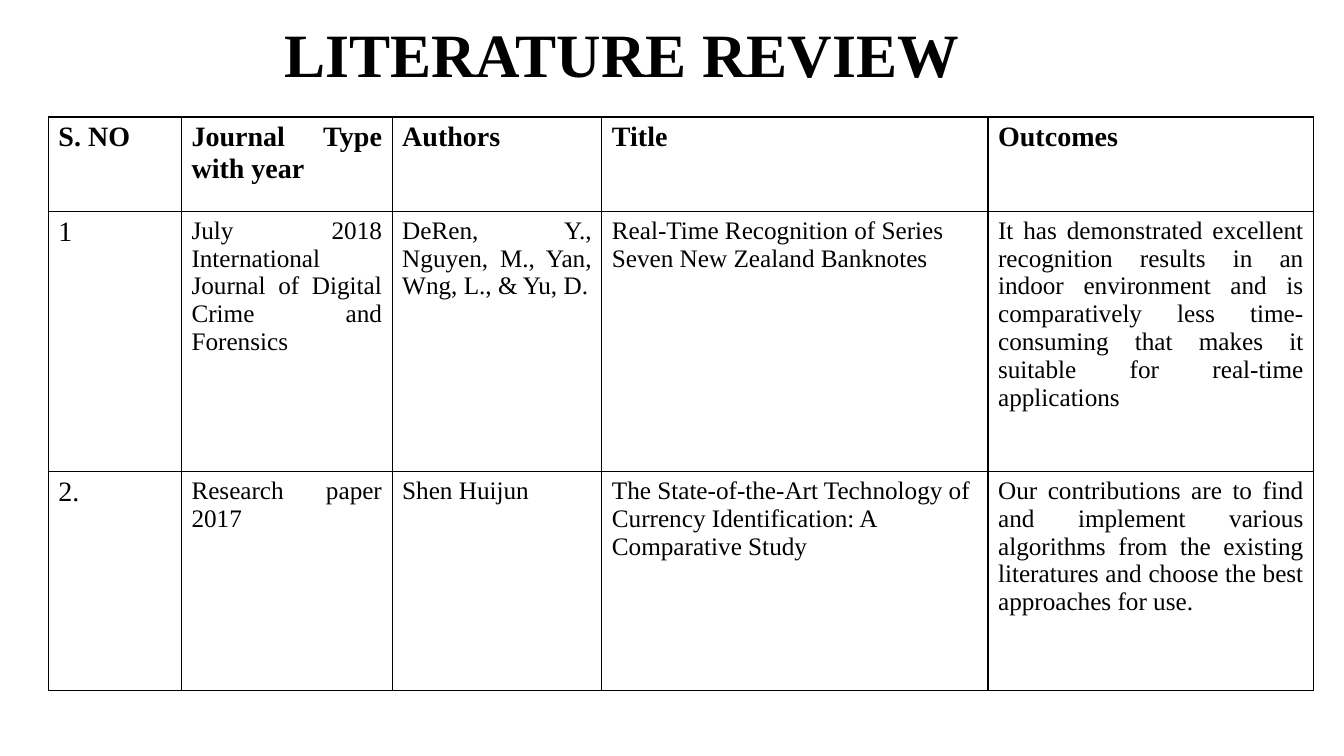
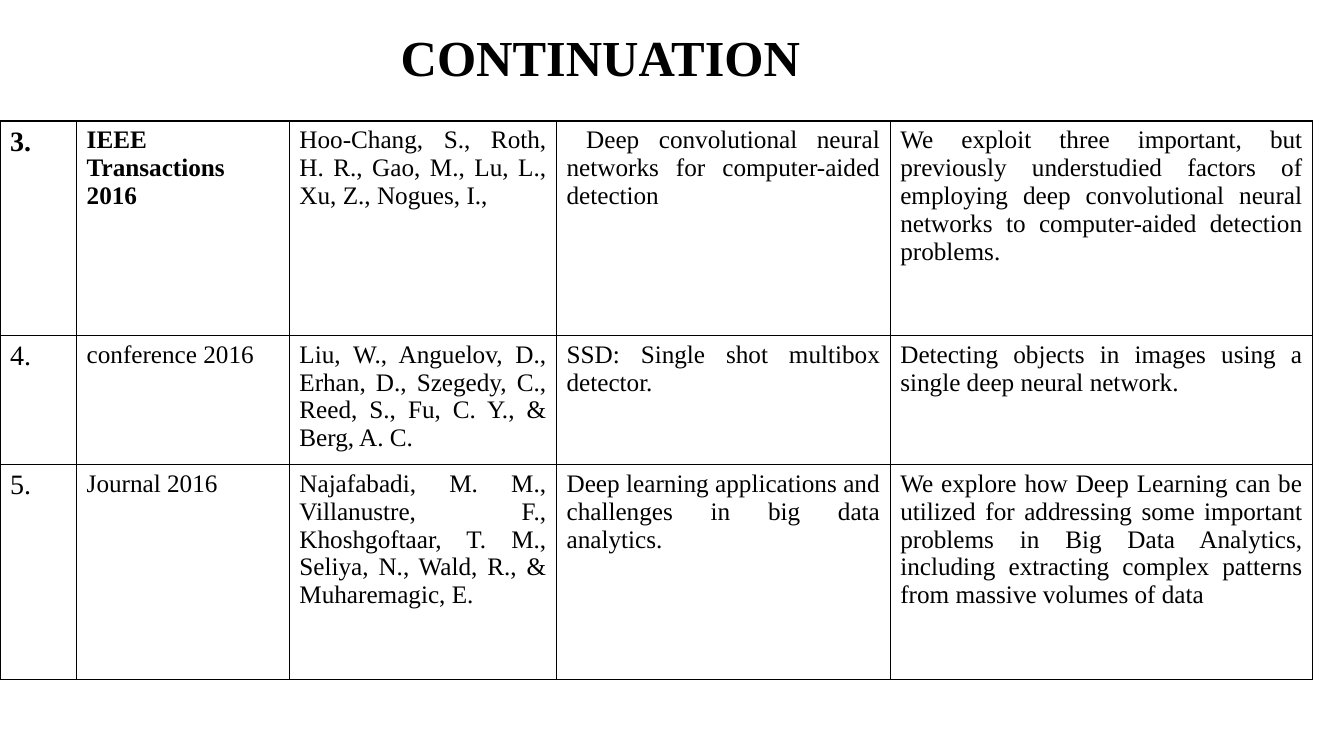
"""Build two literature review slides, each a title over a bordered table."""
from lxml import etree
from pptx import Presentation
from pptx.dml.color import RGBColor
from pptx.enum.text import MSO_ANCHOR, MSO_AUTO_SIZE, PP_ALIGN
from pptx.oxml.ns import qn
from pptx.util import Pt

CENTER, JUSTIFY, LEFT = PP_ALIGN.CENTER, PP_ALIGN.JUSTIFY, PP_ALIGN.LEFT
MIDDLE, NO_FIT = MSO_ANCHOR.MIDDLE, MSO_AUTO_SIZE.NONE
BLACK = RGBColor(0, 0, 0)
WHITE = RGBColor(255, 255, 255)
FONT = "Times New Roman"
PX = 9144
TITLE_ONLY = 5
NUMBER_SIZE, BODY_SIZE = 20, 18

REVIEW_ROWS = [
    ["S. NO", "Journal Type with year", "Authors", "Title", "Outcomes"],
    ["1",
     "July 2018 International Journal of Digital Crime and Forensics",
     "DeRen, Y., Nguyen, M., Yan, Wng, L., & Yu, D.",
     "Real-Time Recognition of Series Seven New Zealand Banknotes",
     "It has demonstrated excellent recognition results in an indoor "
     "environment and is comparatively less time-consuming that makes it "
     "suitable for real-time applications"],
    ["2.",
     "Research paper 2017",
     "Shen Huijun",
     "The State-of-the-Art Technology of Currency Identification: "
     "A Comparative Study",
     "Our contributions are to find and implement various algorithms from "
     "the existing literatures and choose the best approaches for use."],
]
CONTINUATION_ROWS = [
    ["3.",
     "IEEE Transactions 2016",
     "Hoo-Chang, S., Roth, H. R., Gao, M., Lu, L., Xu, Z., Nogues, I.,",
     " Deep convolutional neural networks for computer-aided detection",
     "We exploit three important, but previously understudied factors of "
     "employing deep convolutional neural networks to computer-aided "
     "detection problems."],
    ["4.",
     "conference 2016",
     "Liu, W., Anguelov, D., Erhan, D., Szegedy, C., Reed, S., Fu, C. Y., "
     "& Berg, A. C.",
     "SSD: Single shot multibox detector.",
     "Detecting objects in images using a single deep neural network."],
    ["5.",
     "Journal 2016",
     "Najafabadi, M. M., Villanustre, F., Khoshgoftaar, T. M., Seliya, N., "
     "Wald, R., & Muharemagic, E.",
     "Deep learning applications and challenges in big data analytics.",
     "We explore how Deep Learning can be utilized for addressing some "
     "important problems in Big Data Analytics, including extracting complex "
     "patterns from massive volumes of data"],
]


def write(frame, text, size=BODY_SIZE, bold=False, align=JUSTIFY, spacing=1.0):
    """Put formatted text in the first paragraph of a frame."""
    para = frame.paragraphs[0]
    para.alignment = align
    para.line_spacing = spacing
    span = para.add_run()
    span.text = text
    span.font.name = FONT
    span.font.size = Pt(size)
    span.font.bold = bold
    span.font.color.rgb = BLACK


def add_borders(cell, width=1):
    """Draw a solid line on all four sides of a cell."""
    properties = cell._tc.get_or_add_tcPr()
    for side in ("a:lnL", "a:lnR", "a:lnT", "a:lnB"):
        line = etree.SubElement(properties, qn(side), w=str(Pt(width)))
        fill = etree.SubElement(line, qn("a:solidFill"))
        etree.SubElement(fill, qn("a:srgbClr"), val=str(BLACK))


class ReviewDeck:
    """Hold the deck, its style and the current slide."""

    def __init__(self, width, height):
        """Start an empty deck of the given size."""
        self.deck = Presentation()
        self.deck.slide_width = width * PX
        self.deck.slide_height = height * PX
        self.page = None

    def add_page(self):
        """Add a white slide and make it current."""
        layout = self.deck.slide_layouts[TITLE_ONLY]
        self.page = self.deck.slides.add_slide(layout)
        background = self.page.background.fill
        background.solid()
        background.fore_color.rgb = WHITE

    def add_title(self, text, left, top, width, height, size, spacing=1.0):
        """Place and fill the title of the current slide."""
        box = self.page.shapes.title
        box.left, box.top = left * PX, top * PX
        box.width, box.height = width * PX, height * PX
        frame = box.text_frame
        frame.word_wrap = True
        frame.auto_size = NO_FIT
        frame.vertical_anchor = MIDDLE
        write(frame, text, size=size, bold=True, align=CENTER, spacing=spacing)

    def add_table(self, rows, left, top, widths, heights, bold_cells,
                  left_cells=()):
        """Add a bordered table with large numbers in the first column."""
        table = self.page.shapes.add_table(
            len(heights), len(widths), left * PX, top * PX,
            sum(widths) * PX, sum(heights) * PX).table
        table.first_row = table.horz_banding = False
        for column, width in zip(table.columns, widths):
            column.width = width * PX
        for row, height in zip(table.rows, heights):
            row.height = height * PX
        for row_index, texts in enumerate(rows):
            for column_index, text in enumerate(texts):
                place = (row_index, column_index)
                cell = table.cell(*place)
                add_borders(cell)
                cell.fill.background()
                large = column_index == 0 or texts is REVIEW_ROWS[0]
                write(cell.text_frame, text,
                      size=NUMBER_SIZE if large else BODY_SIZE,
                      bold=place in bold_cells,
                      align=LEFT if place in left_cells else JUSTIFY)


def main():
    """Build and save both slides."""
    review = ReviewDeck(1333, 750)

    review.add_page()
    review.add_title("LITERATURE REVIEW", 223, 9, 788, 96, size=44,
                     spacing=0.9)
    review.add_table(REVIEW_ROWS, 48, 116, [132, 209, 208, 383, 323],
                     [94, 258, 217],
                     bold_cells=[(0, column) for column in range(5)],
                     left_cells=[(1, 3), (2, 3)])

    review.add_page()
    review.add_title("CONTINUATION", 348, 20, 495, 71, size=36)
    review.add_table(CONTINUATION_ROWS, 0, 120, [76, 211, 265, 331, 419],
                     [213, 128, 213], bold_cells=[(0, 0), (0, 1)])

    review.deck.save("out.pptx")


if __name__ == "__main__":
    main()
